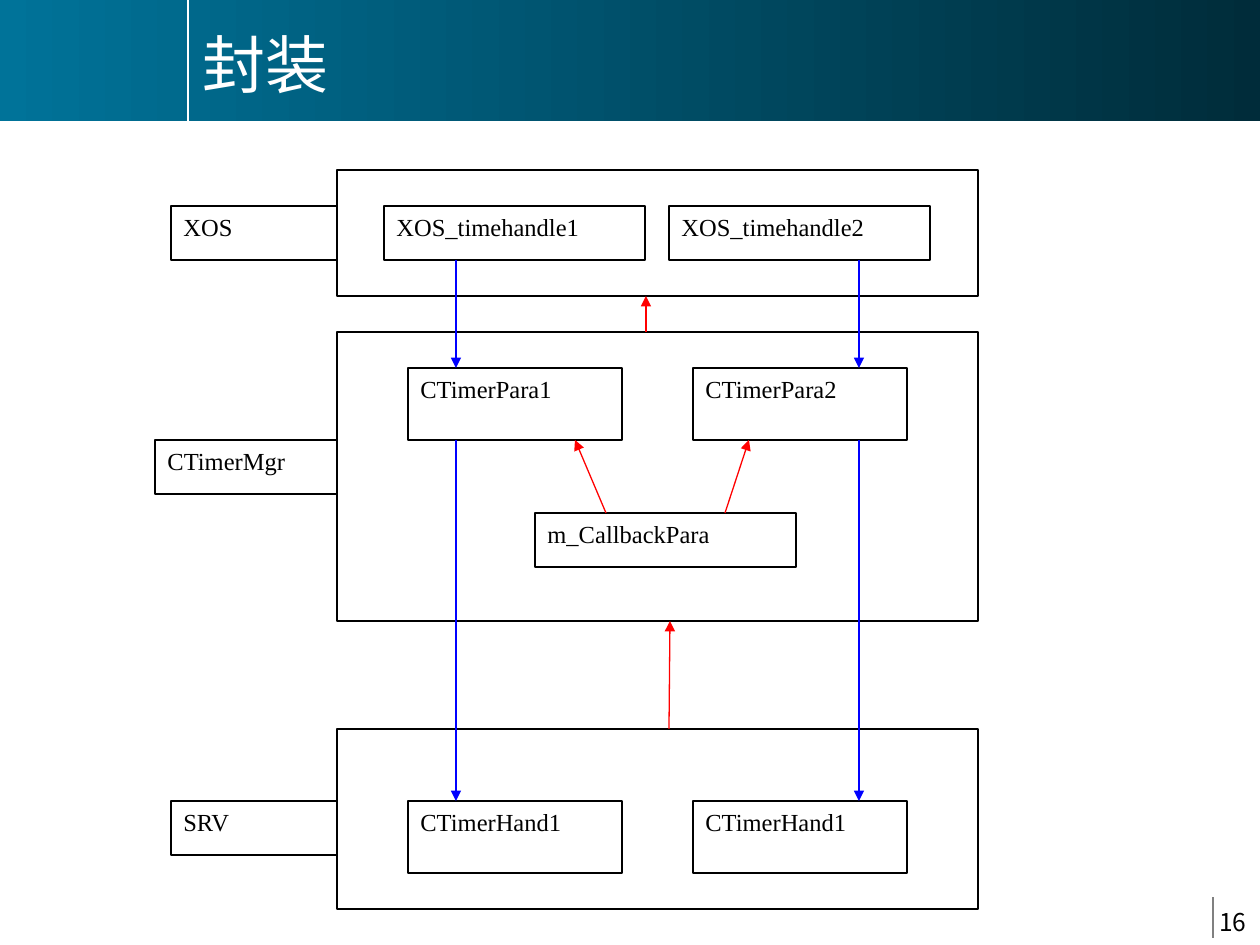
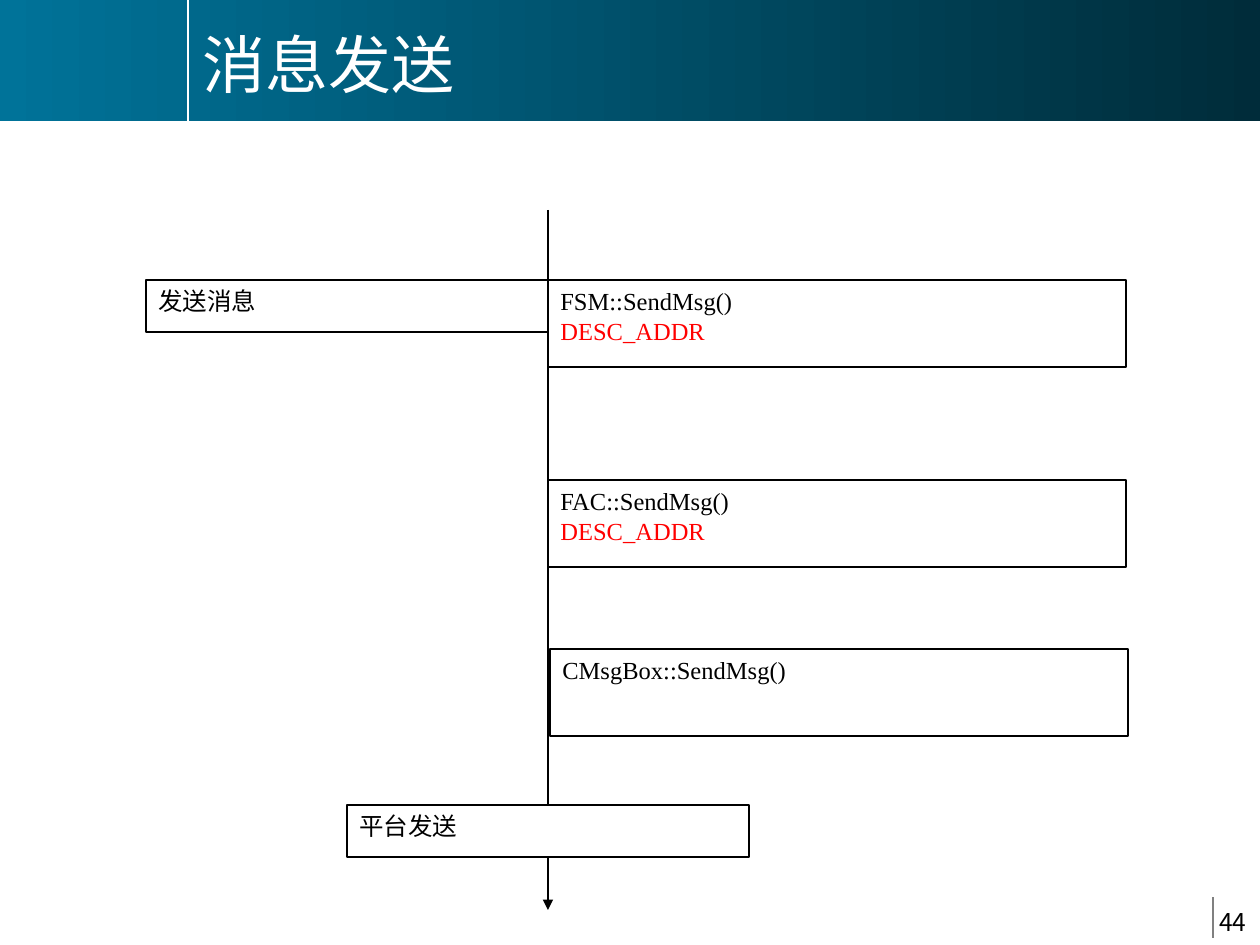
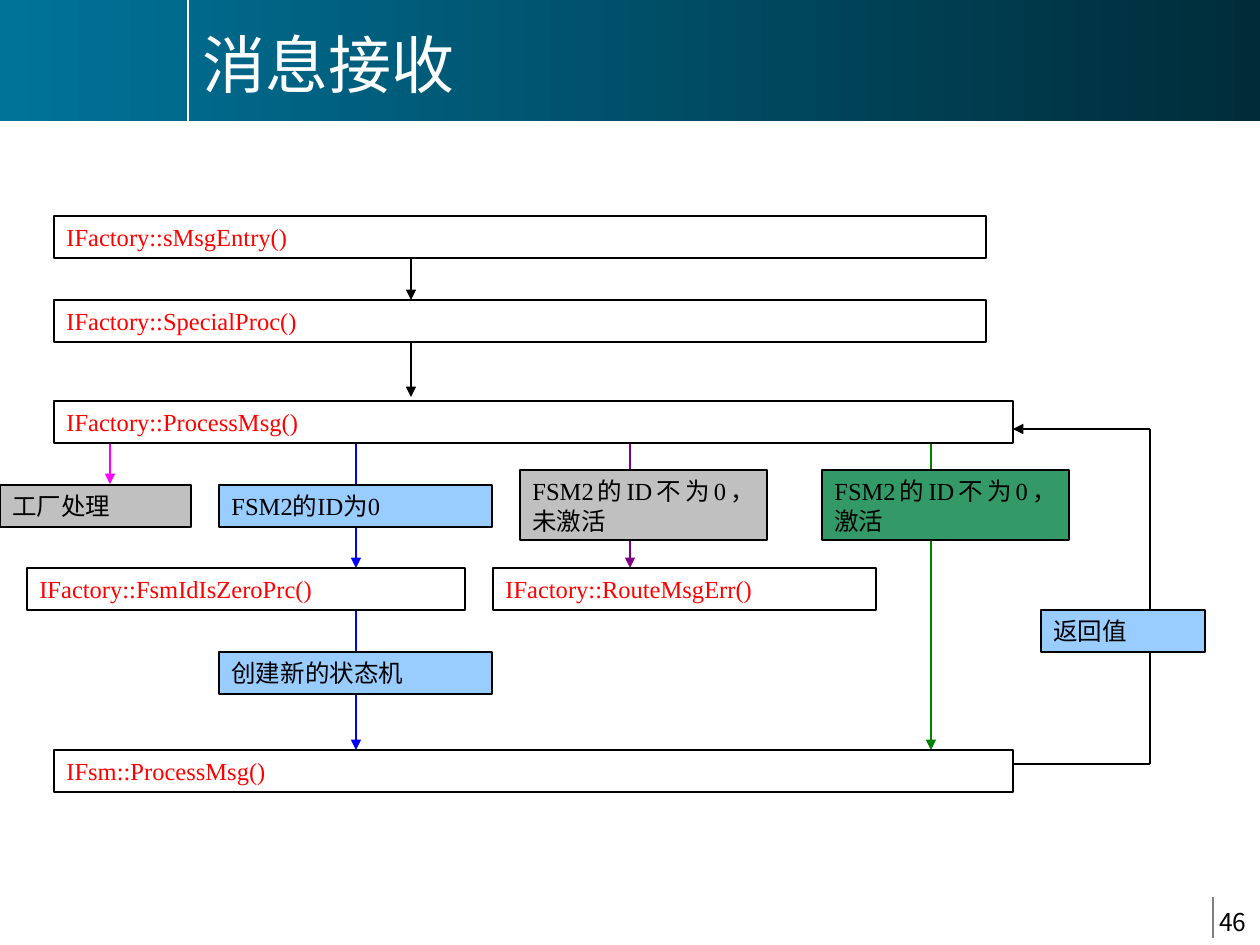
from lxml.etree import SubElement
from pptx import Presentation
from pptx.dml.color import RGBColor
from pptx.enum.shapes import MSO_CONNECTOR, MSO_SHAPE
from pptx.enum.text import MSO_ANCHOR, PP_ALIGN
from pptx.oxml.ns import qn
from pptx.util import Emu, Pt

PX_PER_INCH = 126
SLIDE_WIDTH, SLIDE_HEIGHT = 1260, 945

BLACK = RGBColor(0x00, 0x00, 0x00)
WHITE = RGBColor(0xFF, 0xFF, 0xFF)
RED = RGBColor(0xFF, 0x00, 0x00)
BLUE = RGBColor(0x00, 0x00, 0xFF)
MAGENTA = RGBColor(0xFF, 0x00, 0xFF)
PURPLE = RGBColor(0x80, 0x00, 0x80)
GREEN = RGBColor(0x00, 0x80, 0x00)
GREY = RGBColor(0x80, 0x80, 0x80)
SILVER = RGBColor(0xC0, 0xC0, 0xC0)
SKY = RGBColor(0x99, 0xCC, 0xFF)
SEA_GREEN = RGBColor(0x33, 0x99, 0x66)
BAND_LEFT = RGBColor(0x00, 0x73, 0x99)
BAND_RIGHT = RGBColor(0x00, 0x2C, 0x3A)

SANS = "Noto Sans CJK JP"
SERIF = "Times New Roman"
TITLE_FONT = {"name": SANS, "size": Pt(36)}
NUMBER_FONT = {"name": SANS, "size": Pt(14)}
BOX_FONT = {"name": SERIF, "size": Pt(14)}
TITLE_PARAGRAPH = {"line_spacing": 1.05, "space_before": Pt(2.2)}
NUMBER_PARAGRAPH = {"alignment": PP_ALIGN.RIGHT}
BOX_PARAGRAPH = {"alignment": PP_ALIGN.JUSTIFY}
LINE_WIDTH = Pt(0.75)


def px(length):
    return Emu(round(length * 914400 / PX_PER_INCH))


def set_all(target, values):
    for name, value in values.items():
        setattr(target, name, value)


def add_run(paragraph, text, font_values, color):
    run = paragraph.add_run()
    run.text = text
    set_all(run.font, font_values)
    run.font.color.rgb = color
    SubElement(run.font._element, qn("a:ea")).set("typeface", SANS)


def write_lines(shape, lines, font_values, paragraph_values, anchor=MSO_ANCHOR.TOP):
    frame = shape.text_frame
    frame.word_wrap = True
    frame.vertical_anchor = anchor
    for index, (text, color) in enumerate(lines):
        paragraph = frame.add_paragraph() if index else frame.paragraphs[0]
        set_all(paragraph, paragraph_values)
        add_run(paragraph, text, font_values, color)


def add_label(slide, area, text, color, *formats):
    label = slide.shapes.add_textbox(*map(px, area))
    write_lines(label, [(text, color)], *formats)


def add_rectangle(slide, area):
    shape = slide.shapes.add_shape(MSO_SHAPE.RECTANGLE, *map(px, area))
    shape.shadow.inherit = False
    return shape


def set_line(shape, color):
    shape.line.width = LINE_WIDTH
    shape.line.color.rgb = color


def add_frame(slide, area):
    frame = add_rectangle(slide, area)
    frame.fill.background()
    set_line(frame, BLACK)


def add_box(slide, area, *lines, fill=WHITE, color=BLACK):
    box = add_rectangle(slide, area)
    box.fill.solid()
    box.fill.fore_color.rgb = fill
    set_line(box, BLACK)
    colored = [line if isinstance(line, tuple) else (line, color) for line in lines]
    write_lines(box, colored, BOX_FONT, BOX_PARAGRAPH)


def add_line(slide, ends, color, arrow=False):
    connector = slide.shapes.add_connector(MSO_CONNECTOR.STRAIGHT, *map(px, ends))
    set_line(connector, color)
    properties = connector._element.spPr
    if arrow:
        SubElement(properties.find(qn("a:ln")), qn("a:tailEnd")).set("type", "triangle")
    SubElement(properties, qn("a:effectLst"))


def add_arrow(slide, ends, color):
    add_line(slide, ends, color, arrow=True)


def add_band(slide):
    band = add_rectangle(slide, (0, 0, SLIDE_WIDTH, 121))
    band.line.fill.background()
    band.fill.gradient()
    band.fill.gradient_angle = 0
    for stop, color in zip(band.fill.gradient_stops, (BAND_LEFT, BAND_RIGHT)):
        stop.color.rgb = color
    add_line(slide, (188, 0, 188, 126), WHITE)


def add_slide(presentation, title, number):
    slide = presentation.slides.add_slide(presentation.slide_layouts[6])
    add_label(slide, (1051, 901, 208, 39), number, BLACK, NUMBER_FONT, NUMBER_PARAGRAPH)
    add_line(slide, (1213, 938, 1213, 897), GREY)
    add_band(slide)
    add_label(slide, (190, 9, 1050, 105), title, WHITE,
              TITLE_FONT, TITLE_PARAGRAPH, MSO_ANCHOR.MIDDLE)
    return slide


def build_encapsulation(presentation):
    slide = add_slide(presentation, "封装", "16")
    for top, height in ((170, 126), (332, 289), (729, 180)):
        add_frame(slide, (337, top, 641, height))
    for left, top, text in ((171, 206, "XOS"), (155, 440, "CTimerMgr"), (171, 801, "SRV")):
        add_box(slide, (left, top, 337 - left, 54), text)
    for column, callback_x in enumerate((456, 859)):
        shift = column * 285
        add_box(slide, (384 + shift, 206, 261, 54), f"XOS_timehandle{column + 1}")
        add_box(slide, (408 + shift, 368, 214, 72), f"CTimerPara{column + 1}")
        add_box(slide, (408 + shift, 801, 214, 72), "CTimerHand1")
        for start, end in ((260, 368), (440, 801)):
            add_arrow(slide, (callback_x, start, callback_x, end), BLUE)
    add_box(slide, (535, 513, 261, 54), "m_CallbackPara")
    for ends in ((606, 513, 575, 440), (725, 513, 749, 440),
                 (669, 729, 670, 621), (646, 332, 646, 296)):
        add_arrow(slide, ends, RED)


def build_sending(presentation):
    slide = add_slide(presentation, "消息发送", "44")
    add_arrow(slide, (548, 210, 548, 910), BLACK)
    address = ("DESC_ADDR", RED)
    for left, top, lines in ((548, 280, ("FSM::SendMsg()", address)),
                             (548, 480, ("FAC::SendMsg()", address)),
                             (550, 649, ("CMsgBox::SendMsg()",))):
        add_box(slide, (left, top, 578, 87), *lines)
    for left, top, text in ((146, 280, "发送消息"), (347, 805, "平台发送")):
        add_box(slide, (left, top, 402, 52), text)


def build_receiving(presentation):
    slide = add_slide(presentation, "消息接收", "46")
    for x, start, end, color in ((411, 258, 300, BLACK), (411, 342, 397, BLACK),
                                 (110, 442, 484, MAGENTA), (356, 442, 568, BLUE),
                                 (630, 442, 568, PURPLE), (931, 442, 750, GREEN),
                                 (356, 610, 750, BLUE)):
        add_arrow(slide, (x, start, x, end), color)
    add_line(slide, (1013, 764, 1150, 764), BLACK)
    add_line(slide, (1150, 764, 1150, 429), BLACK)
    add_arrow(slide, (1150, 429, 1013, 429), BLACK)

    for left, top, width, function in ((54, 216, 932, "IFactory::sMsgEntry()"),
                                       (54, 300, 932, "IFactory::SpecialProc()"),
                                       (54, 401, 959, "IFactory::ProcessMsg()"),
                                       (27, 568, 438, "IFactory::FsmIdIsZeroPrc()"),
                                       (493, 568, 383, "IFactory::RouteMsgErr()"),
                                       (54, 750, 959, "IFsm::ProcessMsg()")):
        add_box(slide, (left, top, width, 42), function, color=RED)
    for area, text, fill in (((0, 485, 191, 42), "工厂处理", SILVER),
                             ((219, 485, 273, 42), "FSM2的ID为0", SKY),
                             ((520, 470, 247, 70), "FSM2的ID不为0，未激活", SILVER),
                             ((822, 470, 247, 70), "FSM2的ID不为0，激活", SEA_GREEN),
                             ((219, 652, 273, 42), "创建新的状态机", SKY),
                             ((1041, 610, 164, 42), "返回值", SKY)):
        add_box(slide, area, text, fill=fill)


def main():
    presentation = Presentation()
    presentation.slide_width = px(SLIDE_WIDTH)
    presentation.slide_height = px(SLIDE_HEIGHT)
    build_encapsulation(presentation)
    build_sending(presentation)
    build_receiving(presentation)
    presentation.save("out.pptx")


if __name__ == "__main__":
    main()
